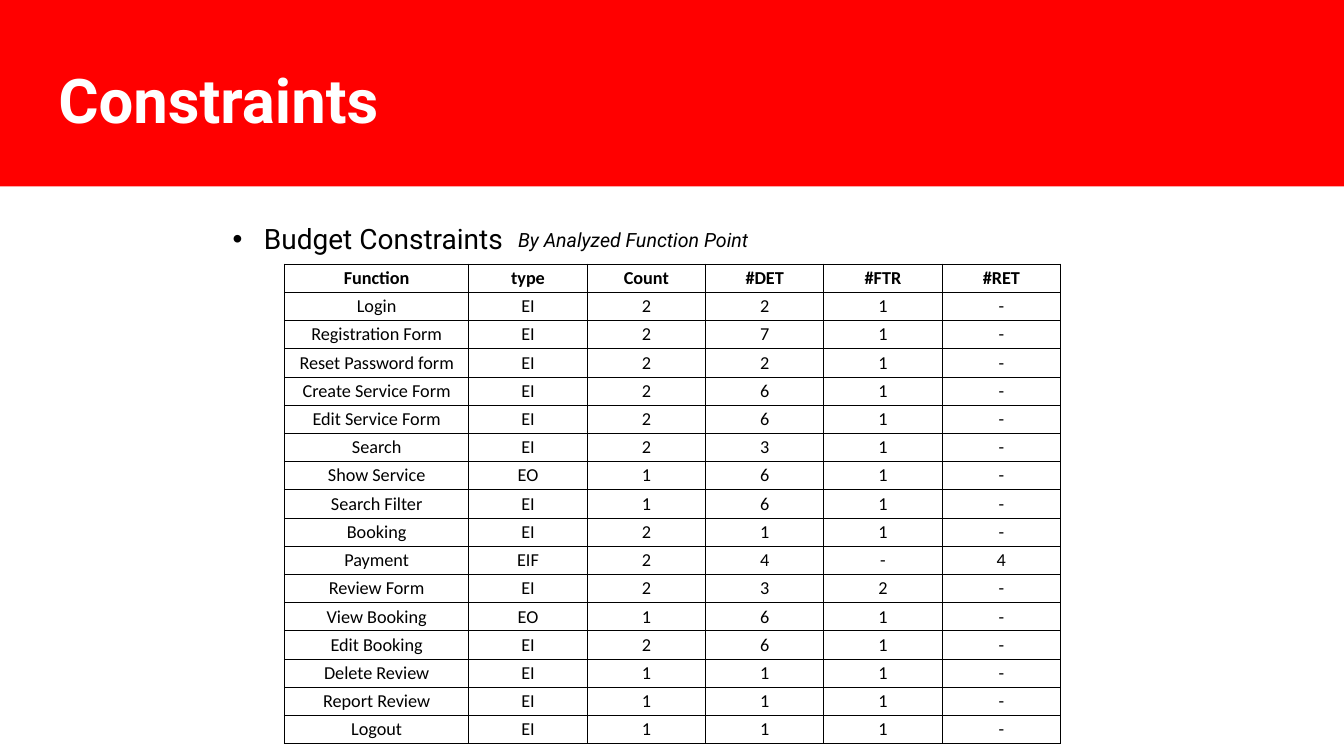
from lxml import etree
from pptx import Presentation
from pptx import util as u
from pptx.dml.color import RGBColor
from pptx.enum import shapes, text
from pptx.oxml import ns

RED = RGBColor(0xFF, 0x00, 0x00)
WHITE = RGBColor(0xFF, 0xFF, 0xFF)
BLACK = RGBColor(0x00, 0x00, 0x00)
HEADING_FONT = "Roboto"
TABLE_FONT = "Calibri"

HEADERS = ["Function", "type", "Count", "#DET", "#FTR", "#RET"]
FUNCTIONS = [
    ("Login", "EI", "2", "2", "1", "-"),
    ("Registration Form", "EI", "2", "7", "1", "-"),
    ("Reset Password form", "EI", "2", "2", "1", "-"),
    ("Create Service Form", "EI", "2", "6", "1", "-"),
    ("Edit Service Form", "EI", "2", "6", "1", "-"),
    ("Search", "EI", "2", "3", "1", "-"),
    ("Show Service", "EO", "1", "6", "1", "-"),
    ("Search Filter", "EI", "1", "6", "1", "-"),
    ("Booking", "EI", "2", "1", "1", "-"),
    ("Payment", "EIF", "2", "4", "-", "4"),
    ("Review Form", "EI", "2", "3", "2", "-"),
    ("View Booking", "EO", "1", "6", "1", "-"),
    ("Edit Booking", "EI", "2", "6", "1", "-"),
    ("Delete Review", "EI", "1", "1", "1", "-"),
    ("Report Review", "EI", "1", "1", "1", "-"),
    ("Logout", "EI", "1", "1", "1", "-"),
]


def add_span(para, words, font, size, color, bold=False, italic=False):
    """Add one formatted run to a paragraph."""
    span = para.add_run()
    span.text = words
    span.font.name = font
    span.font.size = u.Pt(size)
    span.font.color.rgb = color
    span.font.bold = bold
    span.font.italic = italic


def add_banner(page, left, top, width, height):
    """Draw the red band with the slide title."""
    band = page.shapes.add_shape(shapes.MSO_SHAPE.RECTANGLE, left, top, width, height)
    band.shadow.inherit = False
    band.fill.solid()
    band.fill.fore_color.rgb = RED
    band.line.fill.background()
    box = page.shapes.add_textbox(left + u.Inches(0.48), top + u.Inches(0.3),
                                  u.Inches(11.5), u.Inches(1.45))
    frame = box.text_frame
    frame.word_wrap = True
    frame.vertical_anchor = text.MSO_ANCHOR.MIDDLE
    para = frame.paragraphs[0]
    para.line_spacing = 0.9
    add_span(para, "Constraints", HEADING_FONT, 44, WHITE, bold=True)


def add_label(page, left, top, width, height):
    """Add an unwrapped one-line text box and return its paragraph."""
    box = page.shapes.add_textbox(left, top, width, height)
    box.text_frame.word_wrap = False
    box.text_frame.auto_size = text.MSO_AUTO_SIZE.SHAPE_TO_FIT_TEXT
    return box.text_frame.paragraphs[0]


def add_topic(page, left, top):
    """Place the bulleted topic and the italic remark to its right."""
    topic = add_label(page, left, top, u.Inches(2.93), u.Inches(0.44))
    props = topic._p.get_or_add_pPr()
    indent = u.Inches(0.31)
    props.set("marL", str(indent))
    props.set("indent", str(-indent))
    etree.SubElement(props, ns.qn("a:buFont")).set("typeface", "Arial")
    etree.SubElement(props, ns.qn("a:buChar")).set("char", "•")
    add_span(topic, "Budget Constraints", HEADING_FONT, 20, BLACK)
    remark = add_label(page, left + u.Inches(2.83), top + u.Inches(0.06),
                       u.Inches(2.59), u.Inches(0.34))
    add_span(remark, "By Analyzed Function Point", HEADING_FONT, 14, BLACK, italic=True)


def add_borders(cell):
    """Draw a thin black line on all four sides of a cell."""
    props = cell._tc.get_or_add_tcPr()
    for side in ("a:lnL", "a:lnR", "a:lnT", "a:lnB"):
        line = etree.SubElement(props, ns.qn(side))
        line.set("w", str(u.Pt(0.75)))
        fill = etree.SubElement(line, ns.qn("a:solidFill"))
        etree.SubElement(fill, ns.qn("a:srgbClr")).set("val", str(BLACK))


def fill_cell(cell, words, bold):
    """Write and format one table cell."""
    margin = u.Inches(0.03)
    cell.margin_left = cell.margin_right = margin
    cell.margin_top = cell.margin_bottom = margin
    cell.vertical_anchor = text.MSO_ANCHOR.BOTTOM
    add_borders(cell)
    cell.fill.background()
    para = cell.text_frame.paragraphs[0]
    para.alignment = text.PP_ALIGN.CENTER
    add_span(para, words, TABLE_FONT, 13, BLACK, bold=bold)


def add_function_table(page, left, top, width, height):
    """Build the function point table in the given box."""
    rows = [HEADERS, *FUNCTIONS]
    table = page.shapes.add_table(len(rows), len(HEADERS), left, top, width, height).table
    table.horz_banding = False
    name_width = u.Inches(1.83)
    for number, column in enumerate(table.columns):
        column.width = name_width if number == 0 else (width - name_width) // (len(HEADERS) - 1)
    for number, values in enumerate(rows):
        table.rows[number].height = height // len(rows)
        for cell, words in zip(table.rows[number].cells, values):
            fill_cell(cell, words, bold=number == 0)


def main():
    """Build the constraints slide and save the deck."""
    deck = Presentation()
    deck.slide_width = u.Inches(13.33)
    deck.slide_height = u.Inches(7.5)
    page = deck.slides.add_slide(deck.slide_layouts[6])
    add_banner(page, 0, 0, deck.slide_width, u.Inches(1.85))
    add_topic(page, u.Inches(2.21), u.Inches(2.15))
    add_function_table(page, u.Inches(2.82), u.Inches(2.62), u.Inches(7.7), u.Inches(4.76))
    deck.save("out.pptx")


if __name__ == "__main__":
    main()
